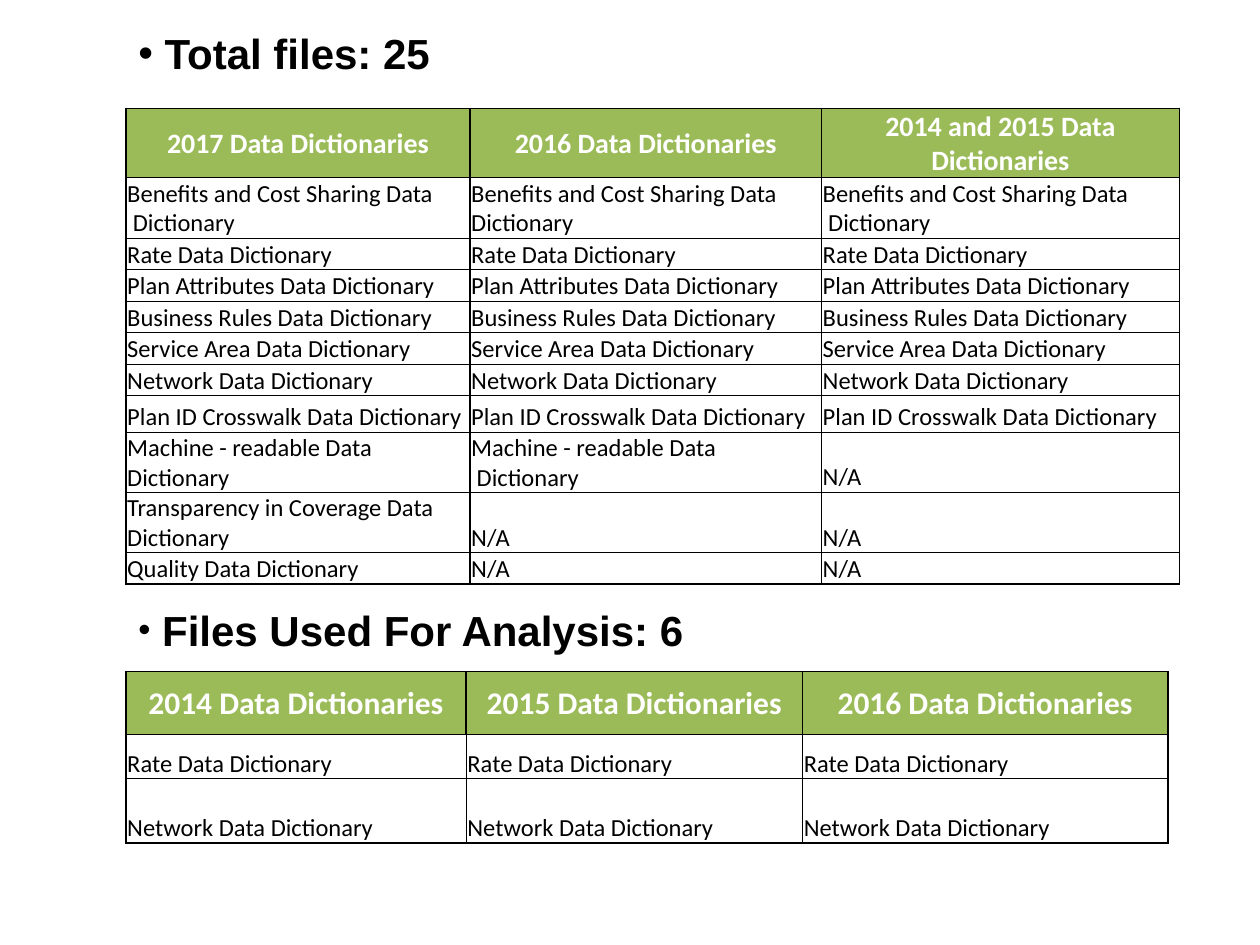
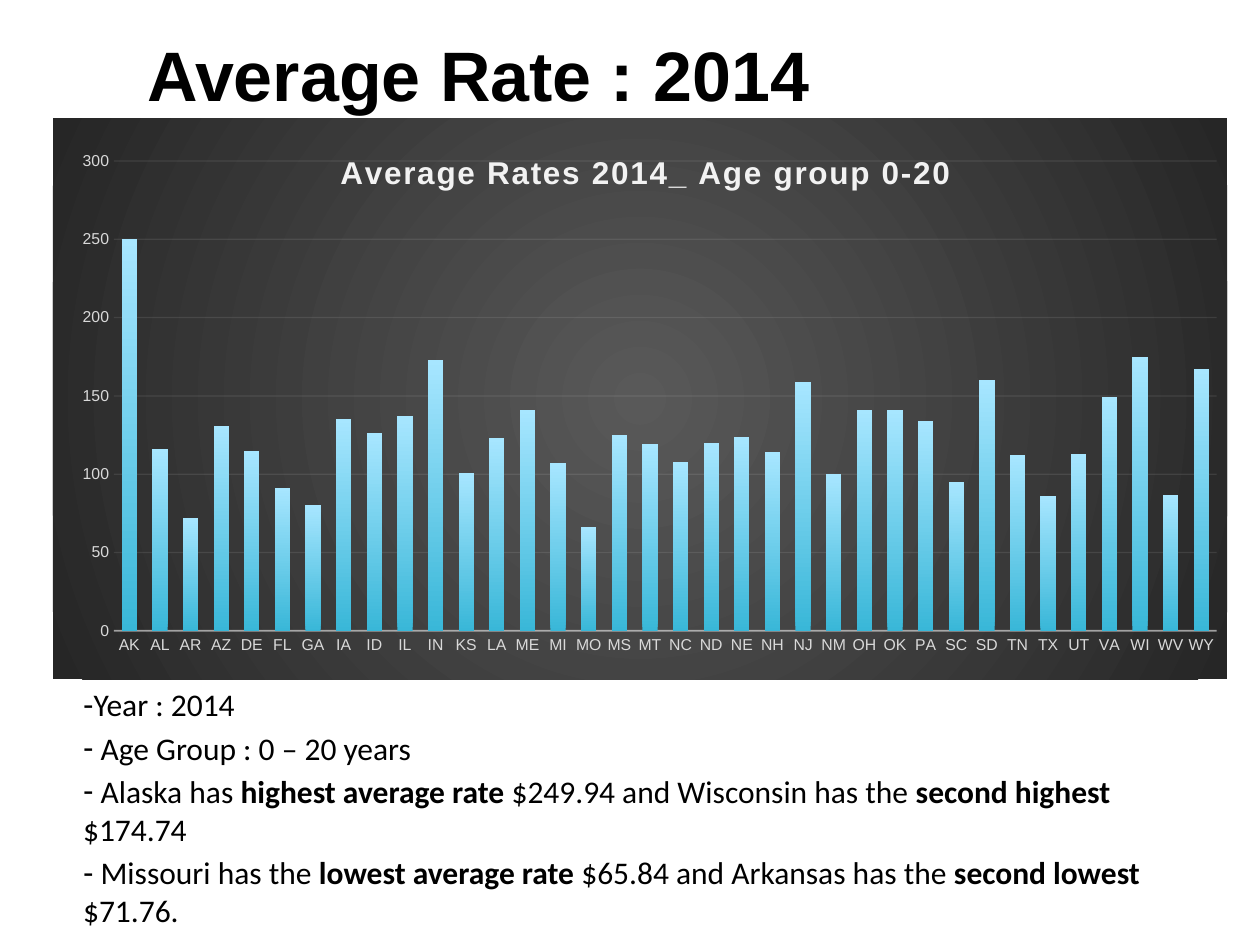
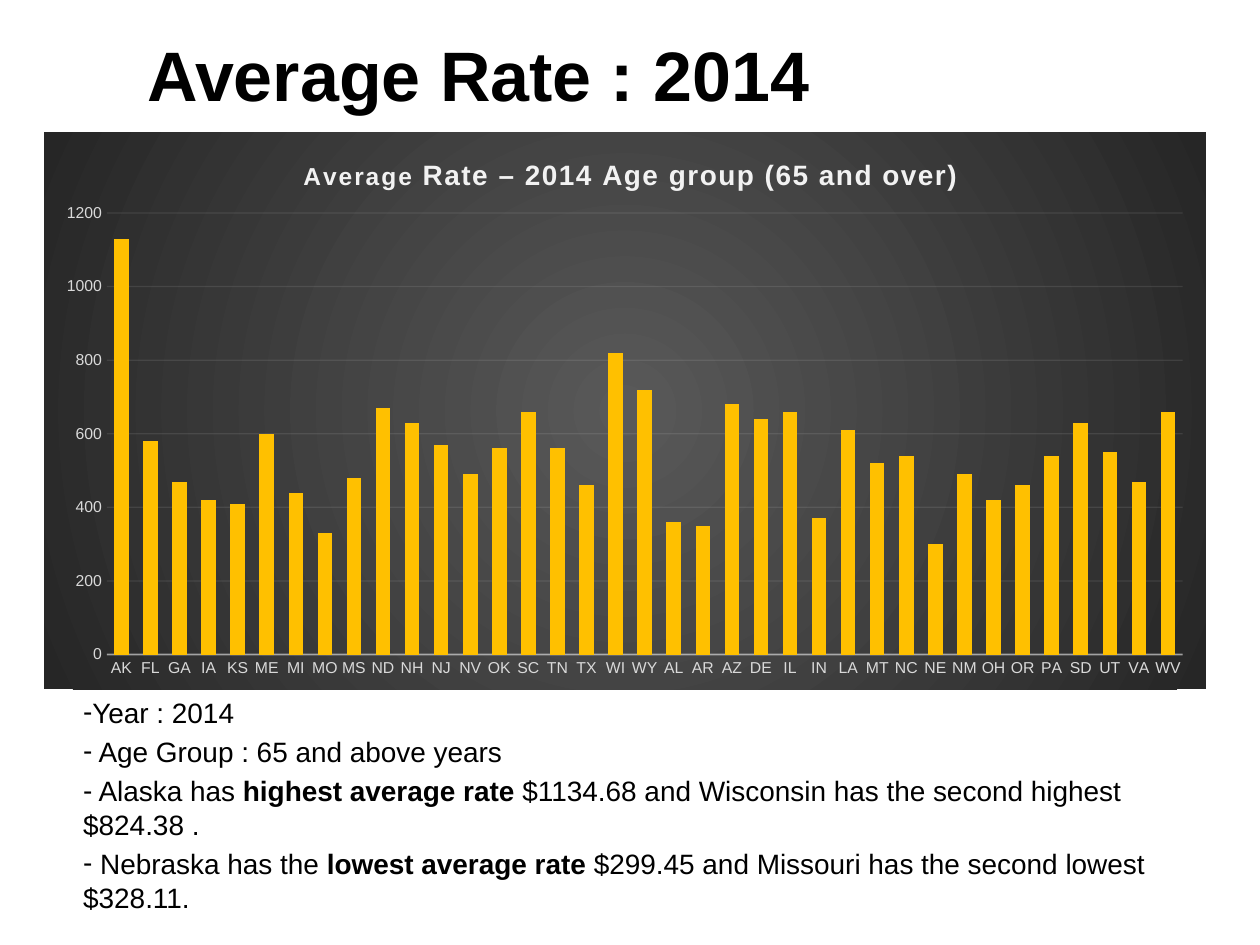
import pptx
import pptx.chart.data
import pptx.dml.color
import pptx.enum.chart
import pptx.enum.text
import pptx.oxml
import pptx.oxml.ns
import pptx.util

Inches = pptx.util.Inches
Pt = pptx.util.Pt
RGBColor = pptx.dml.color.RGBColor
Anchor = pptx.enum.text.MSO_ANCHOR
Align = pptx.enum.text.PP_ALIGN
qn = pptx.oxml.ns.qn

BLACK = RGBColor(0x00, 0x00, 0x00)
WHITE = RGBColor(0xFF, 0xFF, 0xFF)
GREEN = RGBColor(0x9B, 0xBB, 0x59)
CHARCOAL = RGBColor(0x59, 0x59, 0x59)
NEAR_BLACK = RGBColor(0x26, 0x26, 0x26)
PALE = RGBColor(0xF2, 0xF2, 0xF2)
SILVER = RGBColor(0xD9, 0xD9, 0xD9)
DEEP_BLUE = RGBColor(0x39, 0xB7, 0xD8)
LIGHT_BLUE = RGBColor(0xA7, 0xE6, 0xFF)
AMBER = RGBColor(0xFF, 0xC0, 0x00)

NAMESPACES = pptx.oxml.ns.nsdecls("a", "c")


def write(paragraph, text, size, font="Arial", color=BLACK, bold=False, align=None,
          before=None, bullet=None, bullet_scale=100, spacing=None):
    if bullet:
        properties = paragraph._p.get_or_add_pPr()
        properties.set("marL", "0")
        properties.set("indent", "0")
        for tag in (f'buClr {NAMESPACES}><a:srgbClr val="{BLACK}"/></a:buClr>',
                    f'buSzPct {NAMESPACES} val="{bullet_scale * 1000}"/>',
                    f'buFont {NAMESPACES} typeface="Arial"/>',
                    f'buChar {NAMESPACES} char="{bullet}"/>'):
            properties.append(pptx.oxml.parse_xml("<a:" + tag))
    if align is not None:
        paragraph.alignment = align
    if before:
        paragraph.space_before = Pt(before)
    for index, part in enumerate(text.split("|")):
        run = paragraph.add_run()
        run.text = part
        run.font.size = Pt(size)
        run.font.name = font
        run.font.color.rgb = color
        run.font.bold = bold or index % 2 == 1
        if spacing:
            run._r.get_or_add_rPr().set("spc", str(spacing * 100))


def set_layout(parent, position, target="", **fractions):
    for previous in parent.findall(qn("c:layout")):
        parent.remove(previous)
    values = "".join(f'<c:{name} val="{value}"/>' for name, value in fractions.items())
    parent.insert(position, pptx.oxml.parse_xml(
        f'<c:layout {NAMESPACES}><c:manualLayout>{target}<c:xMode val="edge"/>'
        f'<c:yMode val="edge"/>{values}</c:manualLayout></c:layout>'))


presentation = pptx.Presentation()
presentation.slide_width = Inches(10)
presentation.slide_height = Inches(7.5)
blank = presentation.slide_layouts[6]

BENEFITS = "Benefits and Cost Sharing Data\n Dictionary"
SHARED_FILES = ["Rate", "Plan Attributes", "Business Rules", "Service Area", "Network",
                "Plan ID Crosswalk"]
all_files = [
    ["2017 Data Dictionaries", "2016 Data Dictionaries", "2014 and 2015 Data Dictionaries"],
    [BENEFITS, "Benefits and Cost Sharing Data\nDictionary", BENEFITS],
    *[[f"{name} Data Dictionary"] * 3 for name in SHARED_FILES],
    ["Machine - readable Data\nDictionary", "Machine - readable Data\n Dictionary", "N/A"],
    ["Transparency in Coverage Data\nDictionary", "N/A", "N/A"],
    ["Quality Data Dictionary", "N/A", "N/A"],
]
used_files = [
    [f"{year} Data Dictionaries" for year in (2014, 2015, 2016)],
    ["Rate Data Dictionary"] * 3,
    ["Network Data Dictionary"] * 3,
]
file_sections = [
    (" Total files: 25", 0.17, 100, all_files, 0.86, 16, [2.73, 2.79, 2.84],
     [0.55, 0.48] + [0.25] * 5 + [0.29, 0.47, 0.48, 0.25]),
    (" Files Used For Analysis: 6", 4.75, 83, used_files, 5.33, 18, [2.7, 2.67, 2.9],
     [0.5, 0.35, 0.51]),
]

slide = presentation.slides.add_slide(blank)
for heading, heading_top, scale, rows, top, header_size, widths, heights in file_sections:
    box = slide.shapes.add_textbox(Inches(1), Inches(heading_top), Inches(7.18), Inches(0.5))
    box.text_frame.word_wrap = True
    box.text_frame.vertical_anchor = Anchor.MIDDLE
    write(box.text_frame.paragraphs[0], heading, 24, bold=True, bullet="•", bullet_scale=scale)

    table = slide.shapes.add_table(len(rows), len(widths), Inches(1), Inches(top),
                                   Inches(sum(widths)), Inches(sum(heights))).table
    table.first_row = False
    table.horz_banding = False
    for column, width in zip(table.columns, widths):
        column.width = Inches(width)
    for row, height in zip(table.rows, heights):
        row.height = Inches(height)
    for row_index, texts in enumerate(rows):
        header = row_index == 0
        for column_index, text in enumerate(texts):
            cell = table.cell(row_index, column_index)
            cell.margin_left = cell.margin_right = cell.margin_top = Inches(0.01)
            cell.margin_bottom = 0
            cell.vertical_anchor = Anchor.MIDDLE if header else Anchor.BOTTOM
            thick_sides = {"L": header or column_index == 0,
                           "R": header or column_index == len(widths) - 1,
                           "T": header,
                           "B": row_index == len(rows) - 1}
            for side, thick in thick_sides.items():
                cell._tc.get_or_add_tcPr().append(pptx.oxml.parse_xml(
                    f'<a:ln{side} {NAMESPACES} w="{Pt(1 if thick else 0.75)}"><a:solidFill>'
                    f'<a:srgbClr val="{BLACK}"/></a:solidFill></a:ln{side}>'))
            if header:
                cell.fill.solid()
                cell.fill.fore_color.rgb = GREEN
            else:
                cell.fill.background()
            for line_index, line in enumerate(text.split("\n")):
                frame = cell.text_frame
                paragraph = frame.add_paragraph() if line_index else frame.paragraphs[0]
                write(paragraph, line, header_size if header else 14, font="Calibri",
                      color=WHITE if header else BLACK, bold=header,
                      align=Align.CENTER if header else Align.JUSTIFY)

rate_slides = [
    {
        "chart_box": (0.42, 0.94, 9.32, 4.45),
        "title_parts": [("Average Rates 2014_ Age group 0-20", 18)],
        "title_place": {"x": 0.24, "y": 0.05},
        "plot_place": {"x": 0.052, "y": 0.076, "w": 0.939, "h": 0.838},
        "states": "AK AL AR AZ DE FL GA IA ID IL IN KS LA ME MI MO MS MT NC ND NE NH NJ NM "
                  "OH OK PA SC SD TN TX UT VA WI WV WY",
        "rates": [250, 116, 72, 131, 115, 91, 80, 135, 126, 137, 173, 101, 123, 141, 107, 66,
                  125, 119, 108, 120, 124, 114, 159, 100, 141, 141, 134, 95, 160, 112, 86,
                  113, 149, 175, 87, 167],
        "scale": (300, 50),
        "colors": [DEEP_BLUE, LIGHT_BLUE],
        "notes_box": (0.23, 5.39, 9.06, 2.91),
        "font": ("Calibri", 18),
        "notes": [
            "Year : 2014",
            " Age Group : 0 – 20 years",
            " Alaska has |highest average rate |$249.94 and Wisconsin has the "
            "|second highest| $174.74",
            " Missouri has the |lowest average rate |$65.84 and Arkansas has the "
            "|second lowest| $71.76.",
        ],
    },
    {
        "chart_box": (0.35, 1.05, 9.22, 4.42),
        "title_parts": [("Average ", 14), ("Rate – 2014 Age group (65 and over)", 16)],
        "title_place": {"x": 0.22, "y": 0.04},
        "plot_place": {"x": 0.054, "y": 0.145, "w": 0.926, "h": 0.793},
        "states": "AK FL GA IA KS ME MI MO MS ND NH NJ NV OK SC TN TX WI WY AL AR AZ DE IL "
                  "IN LA MT NC NE NM OH OR PA SD UT VA WV",
        "rates": [1130, 580, 470, 420, 410, 600, 440, 330, 480, 670, 630, 570, 490, 560, 660,
                  560, 460, 820, 720, 360, 350, 680, 640, 660, 370, 610, 520, 540, 300, 490,
                  420, 460, 540, 630, 550, 470, 660],
        "scale": (1200, 200),
        "colors": [AMBER],
        "notes_box": (0.23, 5.47, 9.45, 2.03),
        "font": ("Arial", 16),
        "notes": [
            "Year : 2014",
            " Age Group : 65 and above years",
            " Alaska has |highest average rate |$1134.68 and Wisconsin has the second highest "
            "$824.38 .",
            " Nebraska has the |lowest average rate |$299.45 and Missouri has the second "
            "lowest $328.11.",
        ],
    },
]

for content in rate_slides:
    slide = presentation.slides.add_slide(blank)
    title = slide.shapes.add_textbox(Inches(1.07), 0, Inches(8.23), Inches(1.17))
    title.text_frame.word_wrap = True
    title.text_frame.vertical_anchor = Anchor.MIDDLE
    write(title.text_frame.paragraphs[0], "Average Rate : 2014", 40, bold=True)

    notes = slide.shapes.add_textbox(*map(Inches, content["notes_box"])).text_frame
    notes.word_wrap = True
    notes.margin_left = Inches(0.43)
    font, size = content["font"]
    for index, line in enumerate(content["notes"]):
        paragraph = notes.add_paragraph() if index else notes.paragraphs[0]
        write(paragraph, line, size, font=font, bullet="-", before=3.2 if index else None)

    chart_data = pptx.chart.data.CategoryChartData()
    chart_data.categories = content["states"].split()
    chart_data.add_series("Series 1", content["rates"])
    chart = slide.shapes.add_chart(pptx.enum.chart.XL_CHART_TYPE.COLUMN_CLUSTERED,
                                   *map(Inches, content["chart_box"]), chart_data).chart
    chart.has_legend = False
    chart.font.size = Pt(10)
    chart.font.name = "Arial"
    chart.font.color.rgb = BLACK
    chart._chartSpace.find(qn("c:chart")).addnext(pptx.oxml.parse_xml(
        f'<c:spPr {NAMESPACES}><a:gradFill><a:gsLst>'
        f'<a:gs pos="0"><a:srgbClr val="{CHARCOAL}"/></a:gs>'
        f'<a:gs pos="100000"><a:srgbClr val="{NEAR_BLACK}"/></a:gs></a:gsLst>'
        f'<a:path path="circle"><a:fillToRect l="50000" t="50000" r="50000" b="50000"/>'
        f'</a:path></a:gradFill><a:ln><a:noFill/></a:ln></c:spPr>'))

    chart.has_title = True
    heading = chart.chart_title.text_frame.paragraphs[0]
    for text, title_size in content["title_parts"]:
        write(heading, text, title_size, color=PALE, bold=True, spacing=1)
    set_layout(chart.chart_title._element, 1, **content["title_place"])
    set_layout(chart._chartSpace.chart.plotArea, 0, '<c:layoutTarget val="inner"/>',
               **content["plot_place"])

    plot = chart.plots[0]
    plot.gap_width = 100
    plot.overlap = -24
    plot.vary_by_categories = False
    fill = plot.series[0].format.fill
    if len(content["colors"]) == 1:
        fill.solid()
        fill.fore_color.rgb = content["colors"][0]
    else:
        fill.gradient()
        fill.gradient_angle = 90
        for stop, color in zip(fill.gradient_stops, content["colors"]):
            stop.color.rgb = color

    states, rates = chart.category_axis, chart.value_axis
    rates.minimum_scale = 0
    rates.maximum_scale, rates.major_unit = content["scale"]
    rates.has_major_gridlines = True
    rates.format.line.fill.background()
    for axis, line, width, alpha in ((states, states.format.line, 1, 54),
                                     (rates, rates.major_gridlines.format.line, 0.75, 10)):
        axis.major_tick_mark = pptx.enum.chart.XL_TICK_MARK.NONE
        axis.tick_labels.font.size = Pt(9)
        axis.tick_labels.font.name = "Arial"
        axis.tick_labels.font.color.rgb = SILVER
        line.width = Pt(width)
        line.color.rgb = PALE
        axis._element.xpath(".//a:ln//a:srgbClr")[0].append(pptx.oxml.parse_xml(
            f'<a:alpha {NAMESPACES} val="{alpha * 1000}"/>'))

presentation.save("out.pptx")
